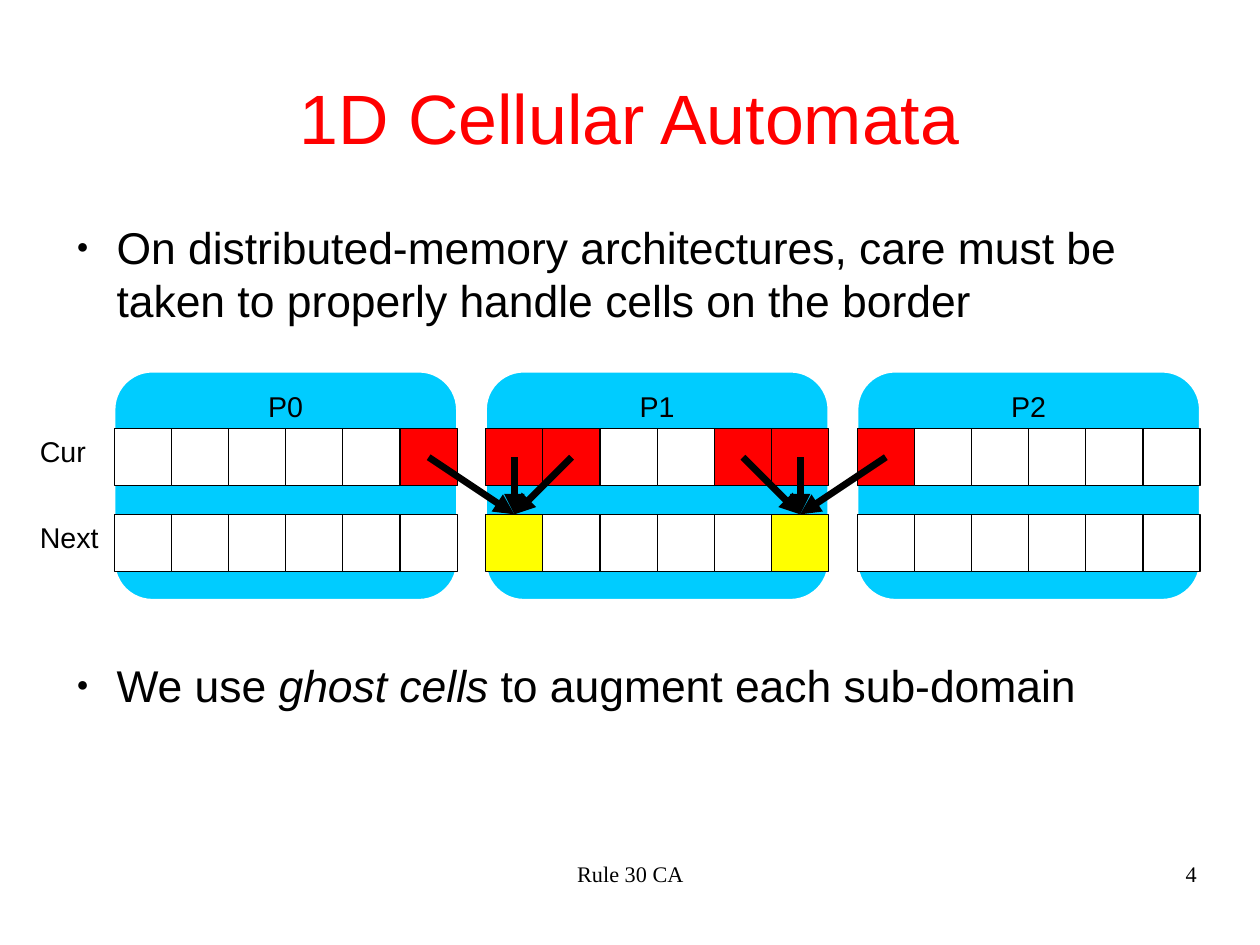
from dataclasses import dataclass

from lxml import etree
from pptx import Presentation
from pptx.dml.color import RGBColor
from pptx.enum.shapes import MSO_CONNECTOR, MSO_SHAPE
from pptx.enum.text import MSO_ANCHOR, MSO_AUTO_SIZE, PP_ALIGN
from pptx.oxml.ns import qn
from pptx.util import Inches, Pt

LEFT, CENTER, RIGHT = PP_ALIGN.LEFT, PP_ALIGN.CENTER, PP_ALIGN.RIGHT
TOP, MIDDLE = MSO_ANCHOR.TOP, MSO_ANCHOR.MIDDLE
NO_FIT = MSO_AUTO_SIZE.NONE
RECTANGLE, ROUNDED = MSO_SHAPE.RECTANGLE, MSO_SHAPE.ROUNDED_RECTANGLE
STRAIGHT = MSO_CONNECTOR.STRAIGHT

TITLE = "1D Cellular Automata"
BULLETS = [
    [("On distributed-memory architectures, care must be taken "
      "to properly handle cells on the border", False)],
    [("We use ", False), ("ghost cells", True),
     (" to augment each sub-domain", False)],
]
PROCESSORS = ["P0", "P1", "P2"]
ROWS = ["Cur", "Next"]
CELLS_EACH = 6
SOURCES = {(0, 5): (1, 0), (1, 0): (1, 0), (1, 1): (1, 0),
           (1, 4): (1, 5), (1, 5): (1, 5), (2, 0): (1, 5)}
FOOTERS = [("Rule 30 CA", 3.77, 3.49, CENTER), ("4", 7.9, 2.57, RIGHT)]

CM_PER_INCH = 2.54
PAGE_WIDTH, PAGE_HEIGHT = 28 / CM_PER_INCH, 21 / CM_PER_INCH
CELL = 0.5
GRID_LEFT, GRID_TOP = 1, 3.75
PANEL_STEP, ROW_STEP = 3.25, 0.75
PANEL_TOP, PANEL_HEIGHT = 3.25, 2


@dataclass(frozen=True)
class Theme:
    sans: str = "Arial"
    serif: str = "Times New Roman"
    black: RGBColor = RGBColor(0, 0, 0)
    white: RGBColor = RGBColor(255, 255, 255)
    red: RGBColor = RGBColor(255, 0, 0)
    yellow: RGBColor = RGBColor(255, 255, 0)
    cyan: RGBColor = RGBColor(0, 204, 255)
    title_size: float = 44
    body_size: float = 28
    label_size: float = 18
    footer_size: float = 14
    panel_line: float = 1.45
    cell_line: float = 0
    arrow_line: float = 4.31


THEME = Theme()


def place(shape, left, top, width, height):
    shape.left, shape.top = Inches(left), Inches(top)
    shape.width, shape.height = Inches(width), Inches(height)


def set_frame(frame, anchor=TOP, across=0, down=0, wrap=True):
    frame.auto_size = NO_FIT
    frame.word_wrap = wrap
    frame.vertical_anchor = anchor
    frame.margin_left = frame.margin_right = Inches(across)
    frame.margin_top = frame.margin_bottom = Inches(down)


def add_span(para, text, size, color=THEME.black, name=THEME.sans, italic=False):
    span = para.add_run()
    span.text = text
    span.font.size = Pt(size)
    span.font.name = name
    span.font.color.rgb = color
    span.font.italic = italic


def add_text(page, text, area, size, name, align, across=0, down=0, wrap=True):
    box = page.shapes.add_textbox(*map(Inches, area))
    set_frame(box.text_frame, across=across, down=down, wrap=wrap)
    para = box.text_frame.paragraphs[0]
    para.alignment = align
    add_span(para, text, size, name=name)


def add_block(page, kind, area, fill, line, weight):
    block = page.shapes.add_shape(kind, *map(Inches, area))
    block.shadow.inherit = False
    block.fill.solid()
    block.fill.fore_color.rgb = fill
    block.line.color.rgb = line
    block.line.width = Pt(weight)
    return block


def add_arrow(page, start, end):
    arrow = page.shapes.add_connector(STRAIGHT, *map(Inches, start + end))
    arrow.line.color.rgb = THEME.black
    arrow.line.width = Pt(THEME.arrow_line)
    properties = arrow._element.spPr
    etree.SubElement(properties.find(qn("a:ln")), qn("a:tailEnd"), type="triangle")
    etree.SubElement(properties, qn("a:effectLst"))


def add_bullet(para):
    properties = para._p.get_or_add_pPr()
    properties.set("marL", str(Inches(0.47)))
    properties.set("indent", str(Inches(-0.35)))
    color = etree.SubElement(properties, qn("a:buClr"))
    etree.SubElement(color, qn("a:srgbClr"), val=str(THEME.black))
    etree.SubElement(properties, qn("a:buSzPct"), val="45000")
    etree.SubElement(properties, qn("a:buFont"), typeface=THEME.sans)
    etree.SubElement(properties, qn("a:buChar"), char="●")


def cell_left(processor, index):
    return GRID_LEFT + processor * PANEL_STEP + index * CELL


def cell_color(row, position):
    if row == 0 and position in SOURCES:
        return THEME.red
    if row == 1 and position in SOURCES.values():
        return THEME.yellow
    return THEME.white


def fill_title(title):
    place(title, 0.55, 0.33, 9.92, 1.38)
    set_frame(title.text_frame, MIDDLE)
    para = title.text_frame.paragraphs[0]
    para.alignment = CENTER
    add_span(para, TITLE, THEME.title_size, THEME.red)


def fill_body(body):
    place(body, 0.55, 1.93, 9.92, 5.46)
    frame = body.text_frame
    set_frame(frame)
    for number, spans in enumerate(BULLETS):
        para = frame.add_paragraph() if number else frame.paragraphs[0]
        add_bullet(para)
        para.alignment = LEFT
        para.line_spacing = Pt(33.4)
        para.space_before = Pt(209 * number)
        para.space_after = Pt(0)
        for text, italic in spans:
            add_span(para, text, THEME.body_size, italic=italic)


def draw_grid(page):
    for processor, name in enumerate(PROCESSORS):
        area = (cell_left(processor, 0), PANEL_TOP, CELLS_EACH * CELL, PANEL_HEIGHT)
        panel = add_block(page, ROUNDED, area, THEME.cyan, THEME.white, THEME.panel_line)
        set_frame(panel.text_frame, across=0.11, down=0.06, wrap=False)
        para = panel.text_frame.paragraphs[0]
        para.alignment = CENTER
        add_span(para, name, THEME.label_size)
    for row, label in enumerate(ROWS):
        top = GRID_TOP + row * ROW_STEP
        add_text(page, label, (0.25, top, 0.71, 0.38), THEME.label_size,
                 THEME.sans, LEFT, 0.1, 0.05, False)
        for processor in range(len(PROCESSORS)):
            for index in range(CELLS_EACH):
                area = (cell_left(processor, index), top, CELL, CELL)
                add_block(page, RECTANGLE, area, cell_color(row, (processor, index)),
                          THEME.black, THEME.cell_line)
    for source, target in SOURCES.items():
        add_arrow(page, (cell_left(*source) + CELL / 2, GRID_TOP + CELL / 2),
                  (cell_left(*target) + CELL / 2, GRID_TOP + ROW_STEP))


def main():
    deck = Presentation()
    deck.slide_width, deck.slide_height = Inches(PAGE_WIDTH), Inches(PAGE_HEIGHT)
    page = deck.slides.add_slide(deck.slide_layouts[1])
    fill_title(page.shapes.title)
    fill_body(page.placeholders[1])
    draw_grid(page)
    for text, left, width, align in FOOTERS:
        add_text(page, text, (left, 7.53, width, 0.57), THEME.footer_size,
                 THEME.serif, align)
    deck.save("out.pptx")


if __name__ == "__main__":
    main()
